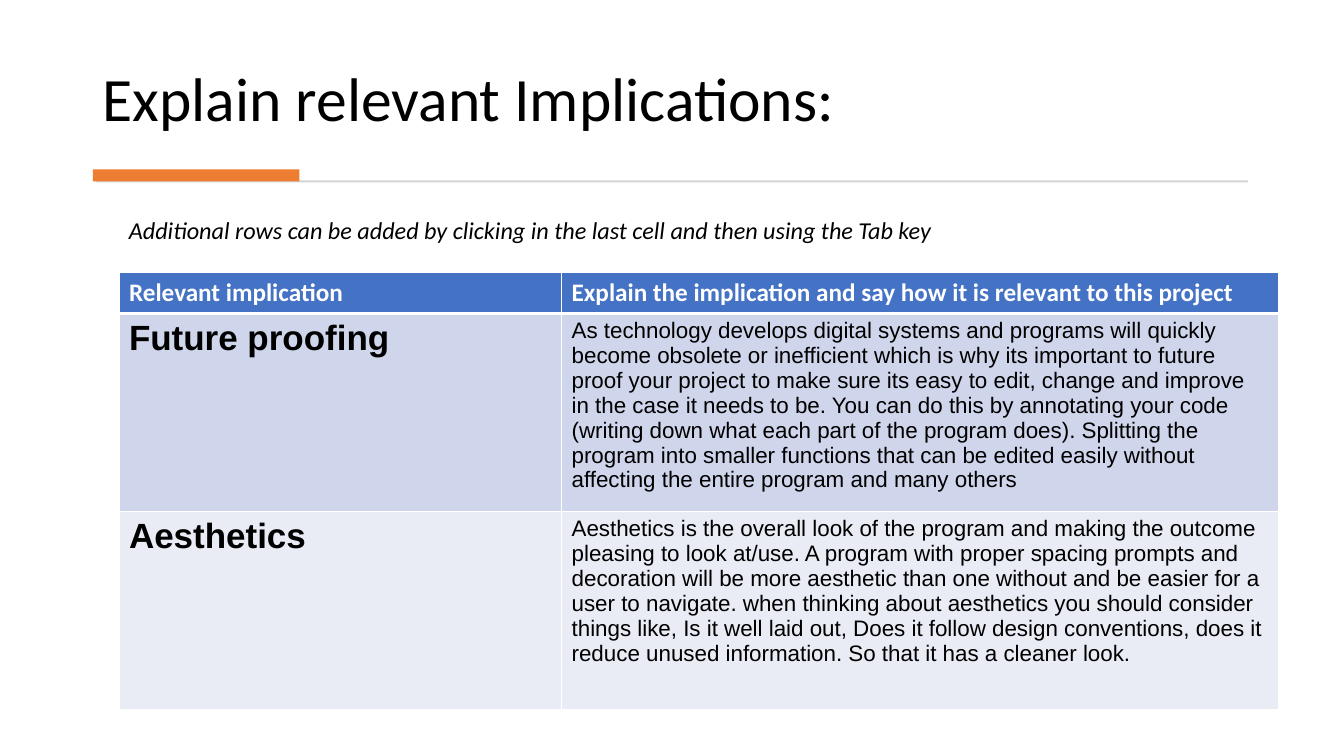
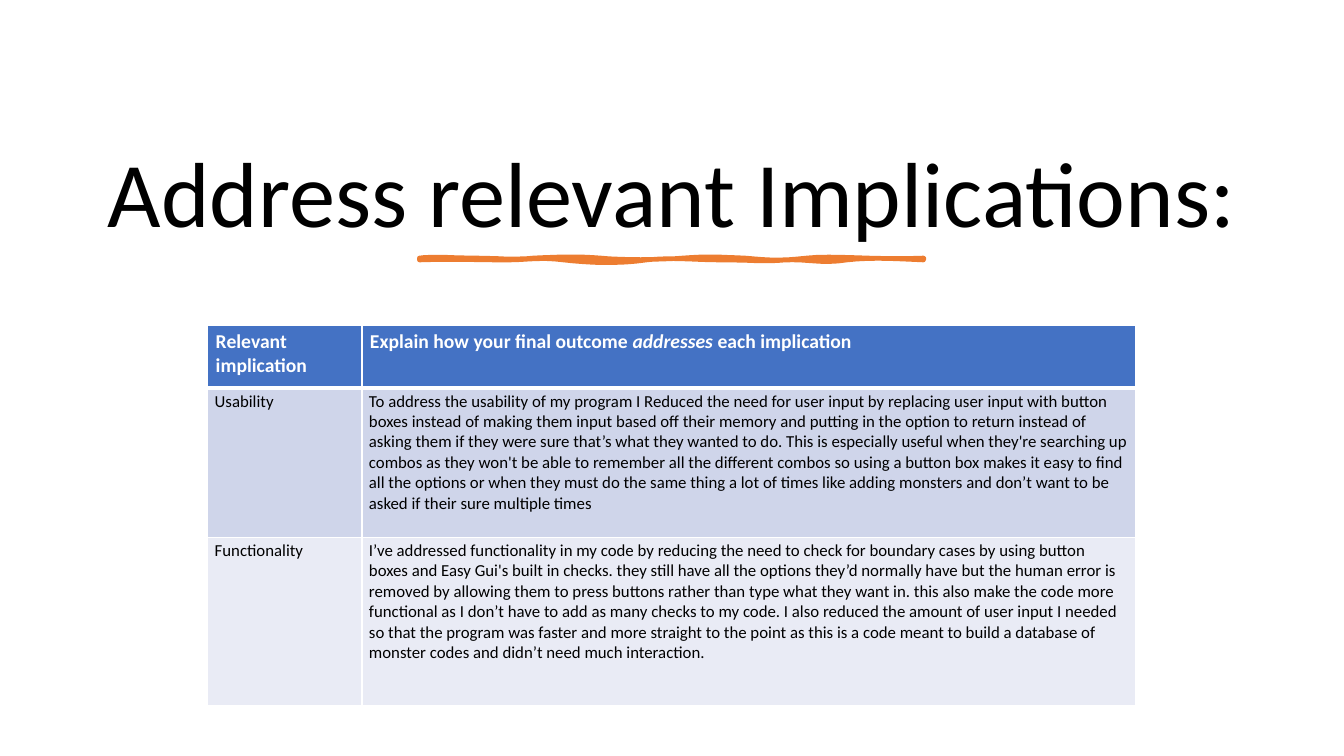
import lxml.etree
import pptx
import pptx.dml.color
import pptx.enum.shapes
import pptx.enum.text
import pptx.oxml.ns
import pptx.util
from pptx.util import Inches

ALIGN = pptx.enum.text.PP_ALIGN
ANCHOR = pptx.enum.text.MSO_ANCHOR
BLACK, WHITE, ORANGE, GREY = "000000", "FFFFFF", "ED7D31", "D5D5D5"
HEADER, BANDS = "4472C4", ("CFD5EA", "E9EBF5")

# Outline of the hand-drawn stroke: a start, then Bezier triples.
STROKE_START = (4.16, 2.56)
STROKE_CURVES = [
    (4.28, 2.54, 4.54, 2.56, 4.73, 2.56), (4.92, 2.56, 5.09, 2.58, 5.29, 2.56),
    (5.49, 2.55, 5.74, 2.54, 5.96, 2.56), (6.17, 2.58, 6.53, 2.58, 6.77, 2.56),
    (7.02, 2.54, 7.14, 2.55, 7.39, 2.56), (7.63, 2.58, 7.74, 2.59, 8, 2.56),
    (8.26, 2.53, 8.67, 2.58, 9.16, 2.56), (9.17, 2.57, 9.16, 2.57, 9.16, 2.58),
    (8.95, 2.57, 8.65, 2.55, 8.4, 2.58), (8.15, 2.62, 8.01, 2.57, 7.79, 2.58),
    (7.56, 2.6, 7.47, 2.58, 7.17, 2.58), (6.87, 2.58, 6.67, 2.55, 6.41, 2.58),
    (6.14, 2.62, 5.85, 2.61, 5.59, 2.58), (5.34, 2.55, 5.23, 2.58, 5.03, 2.58),
    (4.83, 2.58, 4.38, 2.57, 4.16, 2.58), (4.16, 2.58, 4.16, 2.57, 4.16, 2.56),
]

FUTURE_PROOFING = (
    "As technology develops digital systems and programs will quickly become obsolete or "
    "inefficient which is why its important to future proof your project to make sure its "
    "easy to edit, change and improve in the case it needs to be. You can do this by "
    "annotating your code (writing down what each part of the program does). Splitting the "
    "program into smaller functions that can be edited easily without affecting the entire "
    "program and many others")
AESTHETICS = (
    "Aesthetics is the overall look of the program and making the outcome pleasing to look "
    "at/use. A program with proper spacing prompts and decoration will be more aesthetic "
    "than one without and be easier for a user to navigate. when thinking about aesthetics "
    "you should consider things like, Is it well laid out, Does it follow design "
    "conventions, does it reduce unused information. So that it has a cleaner look.")
USABILITY = (
    "To address the usability of my program I Reduced the need for user input by replacing "
    "user input with button boxes instead of making them input based off their memory and "
    "putting in the option to return instead of asking them if they were sure that’s what "
    "they wanted to do. This is especially useful when they're searching up combos as they "
    "won't be able to remember all the different combos so using a button box makes it easy "
    "to find all the options or when they must do the same thing a lot of times like adding "
    "monsters and don’t want to be asked if their sure multiple times")
FUNCTIONALITY = (
    "I’ve addressed functionality in my code by reducing the need to check for boundary "
    "cases by using button boxes and Easy Gui's built in checks. they still have all the "
    "options they’d normally have but the human error is removed by allowing them to press "
    "buttons rather than type what they want in. this also make the code more functional as "
    "I don’t have to add as many checks to my code. I also reduced the amount of user input "
    "I needed so that the program was faster and more straight to the point as this is a "
    "code meant to build a database of monster codes and didn’t need much interaction.")


def rgb(value):
    return pptx.dml.color.RGBColor.from_string(value)


def bezier(start, curve, steps=8):
    """Points along a cubic curve, without its start."""
    x1, y1, x2, y2, x3, y3 = curve
    points = []
    for i in range(1, steps + 1):
        t = i / steps
        weights = ((1 - t) ** 3, 3 * t * (1 - t) ** 2, 3 * t * t * (1 - t), t ** 3)
        points.append(tuple(sum(w * v for w, v in zip(weights, values))
                            for values in ((start[0], x1, x2, x3), (start[1], y1, y2, y3))))
    return points


class Deck:
    def __init__(self):
        self.prs = pptx.Presentation()
        self.prs.slide_width, self.prs.slide_height = Inches(13.33), Inches(7.5)
        self.s = None

    def slide(self):
        self.s = self.prs.slides.add_slide(self.prs.slide_layouts[6])

    def put_runs(self, tf, runs, size, color=BLACK, font="Calibri", **paragraph):
        """Fill a frame with one paragraph; a run is (text, font settings)."""
        p = tf.paragraphs[0]
        for name, value in paragraph.items():
            setattr(p, name, value)
        for text, settings in runs:
            r = p.add_run()
            r.text = text
            r.font.color.rgb = rgb(color)
            style = {"name": font, "size": pptx.util.Pt(size), "bold": False, **settings}
            for name, value in style.items():
                setattr(r.font, name, value)

    def text(self, box, runs, size, anchor=ANCHOR.TOP, **paragraph):
        tf = self.s.shapes.add_textbox(*map(Inches, box)).text_frame
        tf.word_wrap = True
        tf.vertical_anchor = anchor
        self.put_runs(tf, runs, size, **paragraph)

    def title(self, box, text, size, align=ALIGN.LEFT):
        self.text(box, [(text, {})], size, ANCHOR.BOTTOM, alignment=align, line_spacing=0.9)

    def bar(self, box, color):
        sp = self.s.shapes.add_shape(pptx.enum.shapes.MSO_SHAPE.RECTANGLE, *map(Inches, box))
        sp.shadow.inherit = False
        sp.fill.solid()
        sp.fill.fore_color.rgb = rgb(color)
        sp.line.fill.background()

    def stroke(self, start, curves, color, width):
        points = [start]
        for curve in curves:
            points += bezier(points[-1], curve)
        points = [(round(x * 1000), round(y * 1000)) for x, y in points]
        builder = self.s.shapes.build_freeform(*points[0], scale=Inches(1) / 1000)
        builder.add_line_segments(points[1:], close=True)
        sp = builder.convert_to_shape()
        sp.shadow.inherit = False
        sp.fill.solid()
        sp.fill.fore_color.rgb = rgb(color)
        sp.line.color.rgb = rgb(color)
        sp.line.width = pptx.util.Pt(width)

    def borders(self, cell, **widths):
        """White cell edges; widths in points are keyed by L, R, T and B."""
        qn = pptx.oxml.ns.qn
        tc_pr = cell._tc.get_or_add_tcPr()
        for i, side in enumerate("LRTB"):
            ln = lxml.etree.Element(qn("a:ln" + side), w=str(pptx.util.Pt(widths.get(side, 1))))
            fill = lxml.etree.SubElement(ln, qn("a:solidFill"))
            lxml.etree.SubElement(fill, qn("a:srgbClr"), val=WHITE)
            tc_pr.insert(i, ln)

    def table(self, left, top, cols, heights, header, rows, header_style, column_styles,
              header_inset=(0.1, 0.05), inset=(0.1, 0.05)):
        """Header cells hold runs, body cells hold plain text."""
        size = map(Inches, (left, top, sum(cols), sum(heights)))
        table = self.s.shapes.add_table(len(heights), len(cols), *size).table
        for col, width in zip(table.columns, cols):
            col.width = Inches(width)
        for row, height in zip(table.rows, heights):
            row.height = Inches(height)
        body = [[[(text, {})] for text in row] for row in rows]
        for i, row in enumerate([header] + body):
            for j, runs in enumerate(row):
                cell = table.cell(i, j)
                x, y = inset if i else header_inset
                for side, margin in {"left": x, "right": x, "top": y, "bottom": y}.items():
                    setattr(cell, "margin_" + side, Inches(margin))
                cell.fill.solid()
                cell.fill.fore_color.rgb = rgb(BANDS[(i - 1) % 2] if i else HEADER)
                self.borders(cell, **{0: {"B": 3}, 1: {"T": 3}}.get(i, {}))
                style = column_styles[j] if i else header_style
                bold = style.get("bold", False)
                runs = [(text, {"bold": bold, **settings}) for text, settings in runs]
                font = {k: v for k, v in style.items() if k != "bold"}
                self.put_runs(cell.text_frame, runs, **font)


def explain_slide(deck):
    deck.slide()
    deck.title((0.92, 0.28, 11.49, 1.11), "Explain relevant Implications:", 44)
    deck.bar((0.95, 1.79, 11.43, 0.02), GREY)
    deck.bar((0.92, 1.68, 2.05, 0.12), ORANGE)
    hint = "Additional rows can be added by clicking in the last cell and then using the Tab key"
    deck.text((1.18, 2.09, 10.08, 0.39), [(hint, {"italic": True})], 17.3,
              space_after=pptx.util.Pt(6))
    deck.table(
        1.18, 2.7, (4.39, 7.11), (0.41, 1.96, 1.96),
        [[("Relevant implication", {})],
         [("Explain the implication and say how it is relevant to this project", {})]],
        [("Future proofing", FUTURE_PROOFING), ("Aesthetics", AESTHETICS)],
        {"size": 18, "color": WHITE, "bold": True},
        [{"size": 25, "font": "Arial", "bold": True}, {"size": 16, "font": "Arial"}])


def address_slide(deck):
    deck.slide()
    deck.title((0.7, 0.5, 11.93, 2), "Address relevant Implications:", 66, ALIGN.CENTER)
    deck.stroke(STROKE_START, STROKE_CURVES, ORANGE, 3.25)
    deck.table(
        2.06, 3.23, (1.53, 7.67), (0.62, 1.48, 1.67),
        [[("Relevant implication", {})],
         [("Explain how your final outcome ", {}), ("addresses", {"italic": True}),
          (" each implication", {})]],
        [("Usability", USABILITY), ("Functionality", FUNCTIONALITY)],
        {"size": 14, "color": WHITE, "bold": True}, [{"size": 12}] * 2,
        header_inset=(0.08, 0.04), inset=(0.07, 0.03))


def main():
    deck = Deck()
    explain_slide(deck)
    address_slide(deck)
    deck.prs.save("out.pptx")


if __name__ == "__main__":
    main()
